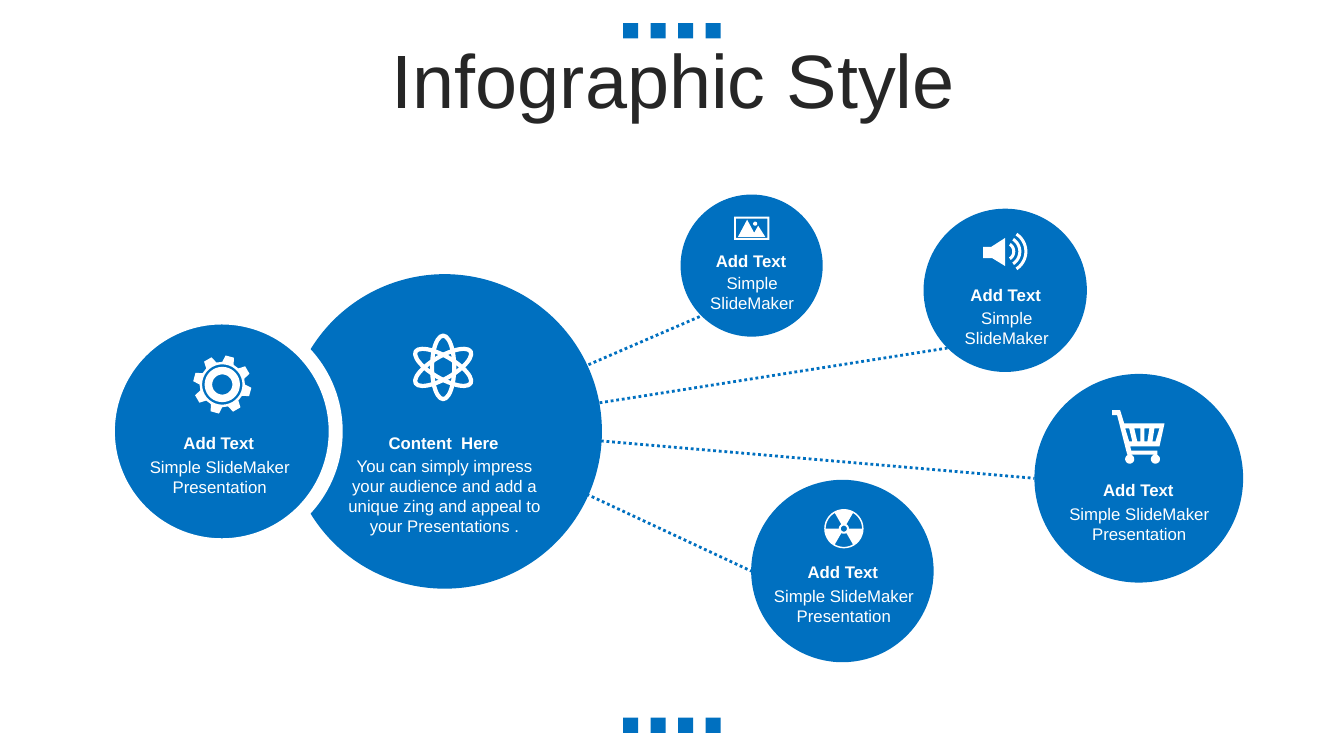
from dataclasses import dataclass
from math import cos, radians, sin

from lxml import etree
from pptx import Presentation
from pptx import util as u
from pptx.dml.color import RGBColor
from pptx.enum import dml, shapes, text
from pptx.oxml.ns import qn


@dataclass(frozen=True)
class Theme:
    blue: RGBColor = RGBColor(0x00, 0x70, 0xC0)
    white: RGBColor = RGBColor(0xFF, 0xFF, 0xFF)
    ink: RGBColor = RGBColor(0x26, 0x26, 0x26)
    font: str = "Arial"
    title_size: int = 54
    text_size: int = 12


def arc(cx, cy, r, start=0, end=360, steps=36):
    """Points along an arc, angles in degrees clockwise from the right."""
    angles = [radians(start + (end - start) * i / steps) for i in range(steps + 1)]
    return [(cx + r * cos(a), cy + r * sin(a)) for a in angles]


def band(cx, cy, inner, outer, middle, half):
    """Ring sector reaching `half` degrees to each side of `middle`."""
    span = (middle - half, middle + half)
    return arc(cx, cy, outer, *span) + arc(cx, cy, inner, *span)[::-1]


def box(left, top, right, bottom):
    return [(left, top), (right, top), (right, bottom), (left, bottom)]


def gear(cx, cy, tip, root, teeth, first):
    profile = [(root, -15), (tip, -8.5), (tip, 8.5), (root, 15)]
    return [arc(cx, cy, r, first + 360 / teeth * i + offset, 0, 1)[0]
            for i in range(teeth) for r, offset in profile]


class Deck:
    def __init__(self, theme):
        self.theme = theme
        self.prs = Presentation()
        self.prs.slide_width = u.Inches(13.33)
        self.prs.slide_height = u.Inches(7.5)
        self.slide = self.prs.slides.add_slide(self.prs.slide_layouts[5])

    def run(self, p, words, size, color, bold=False):
        r = p.add_run()
        r.text = words
        r.font.name = self.theme.font
        r.font.size = u.Pt(size)
        r.font.bold = bold
        r.font.color.rgb = color

    def title(self, words, left, top, width, height):
        sp = self.slide.shapes.title
        sp.left, sp.top = u.Inches(left), u.Inches(top)
        sp.width, sp.height = u.Inches(width), u.Inches(height)
        tf = sp.text_frame
        tf.auto_size = text.MSO_AUTO_SIZE.NONE
        tf.vertical_anchor = text.MSO_ANCHOR.MIDDLE
        p = tf.paragraphs[0]
        p.alignment = text.PP_ALIGN.CENTER
        p.line_spacing = 0.9
        self.run(p, words, self.theme.title_size, self.theme.ink)

    def shape(self, kind, left, top, width, height, fill=None, line=None, weight=0):
        sp = self.slide.shapes.add_shape(
            kind, u.Inches(left), u.Inches(top), u.Inches(width), u.Inches(height))
        self.paint(sp, fill, line, weight)
        return sp

    def paint(self, sp, fill=None, line=None, weight=0):
        sp.shadow.inherit = False
        if fill is None:
            sp.fill.background()
        else:
            sp.fill.solid()
            sp.fill.fore_color.rgb = fill
        if line is None:
            sp.line.fill.background()
        else:
            sp.line.color.rgb = line
            sp.line.width = u.Pt(weight)

    def circle(self, left, top, size, line=None, weight=0):
        self.shape(shapes.MSO_SHAPE.OVAL, left, top, size, size,
                   self.theme.blue, line, weight)

    def dotted_line(self, start, end):
        line = self.slide.shapes.add_connector(
            shapes.MSO_CONNECTOR.STRAIGHT, *(u.Inches(v) for v in (*start, *end)))
        line.line.color.rgb = self.theme.blue
        line.line.width = u.Pt(2)
        line.line.dash_style = dml.MSO_LINE.ROUND_DOT
        etree.SubElement(line._element.spPr, qn("a:effectLst"))

    def text_box(self, words, left, top, width, height, bold=False):
        sp = self.slide.shapes.add_textbox(
            u.Inches(left), u.Inches(top), u.Inches(width), u.Inches(height))
        tf = sp.text_frame
        tf.word_wrap = True
        tf.auto_size = text.MSO_AUTO_SIZE.SHAPE_TO_FIT_TEXT
        p = tf.paragraphs[0]
        p.alignment = text.PP_ALIGN.CENTER
        self.run(p, words, self.theme.text_size, self.theme.white, bold)

    def caption(self, heading, body, left, top, width, gap=0.24, height=0.5):
        self.text_box(heading, left, top, width, 0.3, bold=True)
        self.text_box(body, left + 0.01, top + gap, width, height)

    def icon(self, *contours):
        """White outline in which inner contours cut holes."""
        builder = None
        for contour in contours:
            first, *rest = [(u.Inches(x), u.Inches(y)) for x, y in contour]
            if builder is None:
                builder = self.slide.shapes.build_freeform(*first)
            else:
                builder.move_to(*first)
            builder.add_line_segments(rest, close=True)
        self.paint(builder.convert_to_shape(), self.theme.white)

    def atom(self, cx, cy, width, height):
        for angle in (0, 60, 120):
            orbit = self.shape(shapes.MSO_SHAPE.OVAL, cx - width / 2, cy - height / 2,
                               width, height, line=self.theme.white, weight=3)
            orbit.rotation = angle


HUB_POINT = (4.4, 4.24)
LONG = "Simple SlideMaker Presentation"
SHORT = "Simple SlideMaker"
# circle left, top, size; angle of the line's end; caption left, top, width, gap, body
SATELLITES = [
    (6.75, 1.93, 1.41, 135, 6.81, 2.44, 1.28, 0.22, SHORT),
    (9.16, 2.07, 1.62, 135, 9.27, 2.78, 1.41, 0.22, SHORT),
    (10.26, 3.71, 2.07, 180, 10.35, 4.71, 1.88, 0.24, LONG),
    (7.45, 4.76, 1.81, 180, 7.42, 5.52, 1.88, 0.24, LONG),
]


def draw_icons(deck):
    gear_at = (2.205, 3.815)
    deck.icon(gear(*gear_at, 0.29, 0.225, 8, -75),
              *(arc(*gear_at, r) for r in (0.2, 0.175, 0.1)))

    deck.atom(4.395, 3.645, 0.22, 0.63)

    deck.icon(box(7.28, 2.15, 7.63, 2.38), box(7.3, 2.17, 7.61, 2.36),
              [(7.41, 2.18), (7.48, 2.31), (7.52, 2.24), (7.59, 2.35), (7.32, 2.35)],
              arc(7.49, 2.22, 0.02))

    deck.icon([(9.97, 2.36), (9.97, 2.64), (9.84, 2.56), (9.75, 2.56),
               (9.75, 2.45), (9.83, 2.45)],
              *(band(9.97, 2.495, r - 0.03, r, 0, 57) for r in (0.1, 0.16, 0.22)))

    slots = [(11.16, 11.2, 11.23, 11.2), (11.25, 11.28, 11.31, 11.31),
             (11.35, 11.35, 11.38, 11.4), (11.45, 11.43, 11.46, 11.5)]
    deck.icon([(11.03, 4.07), (11.11, 4.07), (11.15, 4.2), (11.55, 4.2), (11.5, 4.43),
               (11.21, 4.43), (11.22, 4.47), (11.48, 4.47), (11.48, 4.51),
               (11.18, 4.51), (11.08, 4.12), (11.03, 4.12)],
              *([(a, 4.25), (b, 4.38), (c, 4.38), (d, 4.25)] for a, b, c, d in slots),
              *(arc(x, 4.555, 0.045) for x in (11.205, 11.46)))

    sign_at = (8.37, 5.245)
    deck.icon(arc(*sign_at, 0.195), arc(*sign_at, 0.03),
              *(band(*sign_at, 0.05, 0.18, angle, 30) for angle in (-30, 90, 210)))


def main():
    theme = Theme()
    deck = Deck(theme)
    for top in (0.23, 7.12):
        for i in range(4):
            deck.shape(shapes.MSO_SHAPE.RECTANGLE, 6.18 + 0.273 * i, top,
                       0.15, 0.15, theme.blue)
    deck.title("Infographic Style", 0.35, 0.44, 12.66, 0.79)

    for left, top, size, angle, *_ in SATELLITES:
        radius = size / 2
        end = arc(left + radius, top + radius, radius, angle, angle, 1)[0]
        deck.dotted_line(HUB_POINT, end)
    deck.circle(2.85, 2.72, 3.12)
    deck.circle(1.07, 3.15, 2.26, theme.white, 10)
    for left, top, size, *_ in SATELLITES:
        deck.circle(left, top, size)

    deck.caption("Add Text", LONG, 1.23, 4.24, 1.88)
    deck.caption("Content  Here",
                 "You can simply impress your audience and add a unique zing "
                 "and appeal to your Presentations .",
                 3.32, 4.24, 2.16, 0.23, 0.91)
    for *_, left, top, width, gap, body in SATELLITES:
        deck.caption("Add Text", body, left, top, width, gap)
    draw_icons(deck)
    deck.prs.save("out.pptx")


if __name__ == "__main__":
    main()
